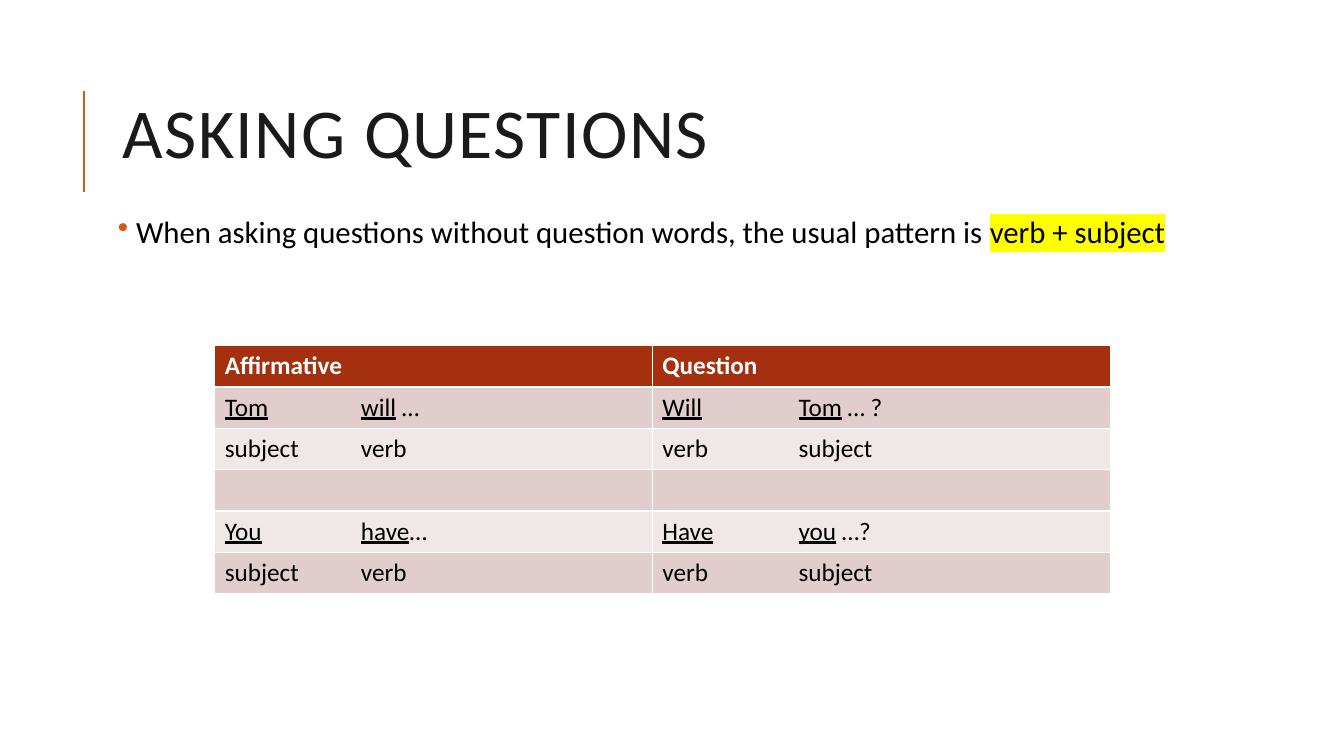
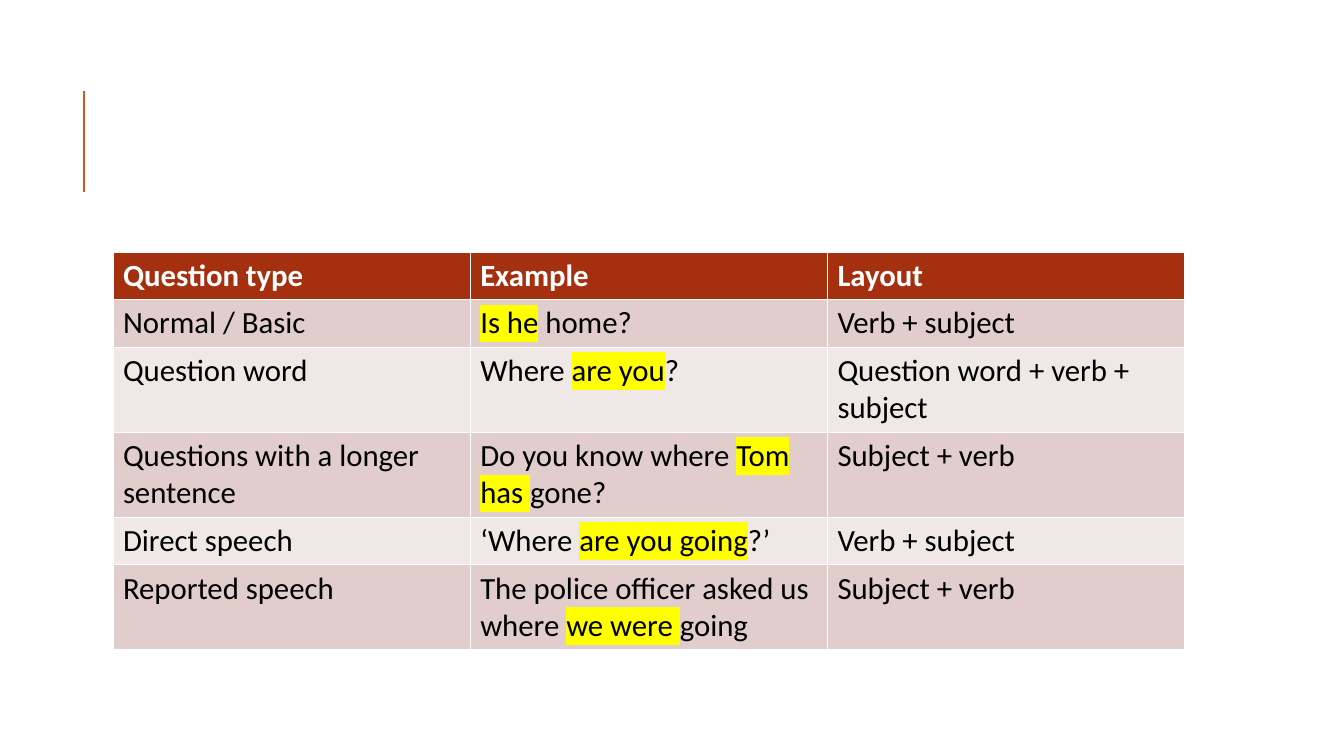
from lxml.etree import SubElement
from pptx import Presentation
from pptx.dml.color import RGBColor
from pptx.enum.shapes import MSO_CONNECTOR
from pptx.enum.text import MSO_ANCHOR
from pptx.oxml.ns import qn
from pptx.util import Inches, Pt

COLORS = {
    "accent": "D55816",
    "head": "A5300F",
    "odd": "E1CDCC",
    "even": "F0E8E7",
    "title": "1A1A1A",
    "text": "000000",
    "white": "FFFFFF",
    "mark": "FFFF00",
}
FONT = "Calibri"
LEFT, WIDTH = 1.12, 10.63
ROW = 0.41
TAB = 1.35

VERBS = [
    ["Affirmative", "Question"],
    ["|Tom|\t|will| …", "|Will|\t|Tom| … ?"],
    ["subject\tverb", "verb\tsubject"],
    ["", ""],
    ["|You|\t|have|…", "|Have|\t|you| …?"],
    ["subject\tverb", "verb\tsubject"],
]
TYPES = [
    ["Question type", "Example", "Layout"],
    ["Normal / Basic", "|Is he| home?", "Verb + subject"],
    ["Question word", "Where |are you|?", "Question word + verb + subject"],
    ["Questions with a longer sentence", "Do you know where |Tom has |gone?", "Subject + verb"],
    ["Direct speech", "‘Where |are you going|?’", "Verb + subject"],
    ["Reported speech", "The police officer asked us where |we were |going", "Subject + verb"],
]


def color(name):
    return RGBColor.from_string(COLORS[name])


def style(para, size, name, bold=False):
    font = para.font
    font.name = FONT
    font.size = Pt(size)
    font.bold = bold
    font.color.rgb = color(name)


def glow(run):
    light = SubElement(run._r.get_or_add_rPr(), qn("a:highlight"))
    SubElement(light, qn("a:srgbClr"), val=COLORS["mark"])


def line(run):
    run.font.underline = True


def write(para, text, mark):
    for index, part in enumerate(text.split("|")):
        if part:
            run = para.add_run()
            run.text = part
            if index % 2:
                mark(run)


def add_tab(para):
    props = para._p.get_or_add_pPr()
    tabs = props.makeelement(qn("a:tabLst"))
    SubElement(tabs, qn("a:tab"), pos=str(Inches(TAB)), algn="l")
    props.insert_element_before(tabs, "a:defRPr", "a:extLst")


def add_bar(slide):
    bar = slide.shapes.add_connector(
        MSO_CONNECTOR.STRAIGHT, Inches(0.83), Inches(1.9), Inches(0.83), Inches(0.9)
    )
    bar.line.color.rgb = color("accent")
    bar.line.width = Pt(1.5)
    SubElement(bar._element.spPr, qn("a:effectLst"))


def add_slide(deck):
    slide = deck.slides.add_slide(deck.slide_layouts[6])
    add_bar(slide)
    return slide


def add_box(slide, top, height):
    box = slide.shapes.add_textbox(Inches(LEFT), Inches(top), Inches(WIDTH), Inches(height))
    box.text_frame.word_wrap = True
    return box.text_frame


def add_title(slide, text):
    frame = add_box(slide, 0.64, 1.46)
    frame.vertical_anchor = MSO_ANCHOR.MIDDLE
    para = frame.paragraphs[0]
    para.line_spacing = 0.8
    style(para, 50, "title")
    run = para.add_run()
    run.text = text
    run._r.get_or_add_rPr().set("spc", "100")


def add_bullet(slide, text):
    frame = add_box(slide, 2.1, 4.81)
    frame.margin_left = frame.margin_right = Inches(0.05)
    frame.margin_top = frame.margin_bottom = Inches(0.05)
    para = frame.paragraphs[0]
    para.line_spacing = 0.9
    para.space_before, para.space_after = Pt(12), Pt(2)
    props = para._p.get_or_add_pPr()
    props.set("marL", str(Inches(0.18)))
    props.set("indent", str(-Inches(0.18)))
    tint = SubElement(props, qn("a:buClr"))
    SubElement(tint, qn("a:srgbClr"), val=COLORS["accent"])
    SubElement(props, qn("a:buChar"), char="•")
    style(para, 22, "text")
    write(para, text, glow)


def add_grid(slide, left, top, widths, rows, size, mark):
    table = slide.shapes.add_table(
        len(rows), len(widths), Inches(left), Inches(top),
        Inches(sum(widths)), Inches(ROW * len(rows)),
    ).table
    for column, width in zip(table.columns, widths):
        column.width = Inches(width)
    for r, row in enumerate(rows):
        fill = "head" if r == 0 else ("even", "odd")[r % 2]
        for c, text in enumerate(row):
            cell = table.cell(r, c)
            cell.fill.solid()
            cell.fill.fore_color.rgb = color(fill)
            para = cell.text_frame.paragraphs[0]
            style(para, size, "text" if r else "white", r == 0)
            if "\t" in text:
                add_tab(para)
            write(para, text, mark)


def main():
    deck = Presentation()
    deck.slide_width, deck.slide_height = Inches(13.33), Inches(7.5)

    slide = add_slide(deck)
    add_title(slide, "ASKING QUESTIONS")
    add_bullet(slide, "When asking questions without question words, the usual pattern is |verb + subject|")
    add_grid(slide, 2.13, 3.43, [4.34, 4.55], VERBS, 18, line)

    slide = add_slide(deck)
    add_grid(slide, LEFT, 2.5, [WIDTH / 3] * 3, TYPES, 22, glow)

    deck.save("out.pptx")


if __name__ == "__main__":
    main()
